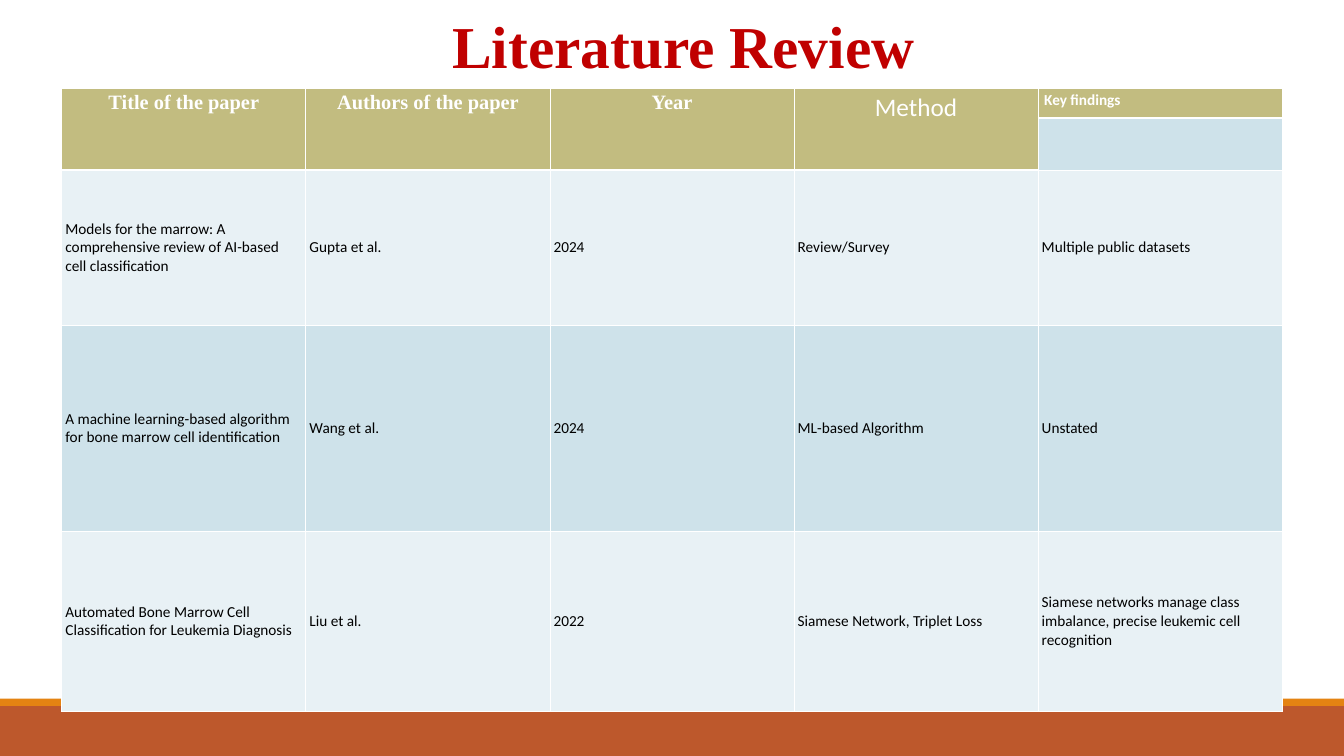
import pptx
import pptx.dml.color
import pptx.enum.shapes
import pptx.enum.text
import pptx.oxml
import pptx.oxml.ns
import pptx.util
from dataclasses import dataclass

Pt = pptx.util.Pt
ALIGN = pptx.enum.text.PP_ALIGN
ANCHOR = pptx.enum.text.MSO_ANCHOR

SLIDE_WIDTH, SLIDE_HEIGHT = 1583.28, 890.64
COLUMN_WIDTH = 287.56
ROW_HEIGHTS = [35.28, 61.2, 182.88, 242.64, 212.4]
HEADERS = ["Title of the paper", "Authors of the paper", "Year", "Method", "Key findings"]
PAPERS = [
    ["Models for the marrow: A comprehensive review of AI-based cell classification",
     "Gupta et al.", "2024", "Review/Survey", "Multiple public datasets"],
    ["A machine learning-based algorithm for bone marrow cell identification",
     "Wang et al.", "2024", "ML-based Algorithm", "Unstated"],
    ["Automated Bone Marrow Cell Classification for Leukemia Diagnosis",
     "Liu et al.", "2022", "Siamese Network, Triplet Loss",
     "Siamese networks manage class imbalance, precise leukemic cell recognition"],
]


@dataclass(frozen=True)
class Theme:
    white: str = "FFFFFF"
    black: str = "000000"
    title_red: str = "C00000"
    footer_rust: str = "BD582C"
    footer_orange: str = "E48312"
    header_olive: str = "C2BC80"
    band_light: str = "E8F1F5"
    band_dark: str = "CEE2EA"
    serif: str = "Times New Roman"
    sans: str = "Calibri"
    title_size: float = 70
    header_size: float = 24
    method_size: float = 29.7
    body_size: float = 18


def rgb(value):
    return pptx.dml.color.RGBColor.from_string(value)


def apply(target, values):
    for name, value in values.items():
        setattr(target, name, value)


def margins(horizontal, vertical):
    return {"margin_left": Pt(horizontal), "margin_right": Pt(horizontal),
            "margin_top": Pt(vertical), "margin_bottom": Pt(vertical)}


class SlideBuilder:
    def __init__(self, slide, theme):
        self.slide = slide
        self.theme = theme

    def bar(self, top, height, color):
        bar = self.slide.shapes.add_shape(
            pptx.enum.shapes.MSO_SHAPE.RECTANGLE, 0, Pt(top), Pt(SLIDE_WIDTH), Pt(height))
        bar.shadow.inherit = False
        bar.fill.solid()
        bar.fill.fore_color.rgb = rgb(color)
        bar.line.fill.background()

    def set_text(self, frame, text, font, color, paragraph):
        line = frame.paragraphs[0]
        apply(line, paragraph)
        run = line.add_run()
        run.text = text
        apply(run.font, font)
        run.font.color.rgb = rgb(color)

    def title(self, text, left, top, width, height):
        frame = self.slide.shapes.add_textbox(Pt(left), Pt(top), Pt(width), Pt(height)).text_frame
        apply(frame, {"word_wrap": True, "vertical_anchor": ANCHOR.BOTTOM, **margins(15.84, 7.92)})
        font = {"name": self.theme.serif, "size": Pt(self.theme.title_size), "bold": True}
        self.set_text(frame, text, font, self.theme.title_red, {"alignment": ALIGN.CENTER})

    def table(self, left, top, rows, columns):
        table = self.slide.shapes.add_table(
            rows, columns, Pt(left), Pt(top),
            Pt(COLUMN_WIDTH * columns), Pt(sum(ROW_HEIGHTS))).table
        apply(table, {"first_row": False, "horz_banding": False})
        for column in table.columns:
            column.width = Pt(COLUMN_WIDTH)
        for row, height in zip(table.rows, ROW_HEIGHTS):
            row.height = Pt(height)
        return table

    def style_cell(self, cell, fill, bottom_width=1):
        """Fill the cell and rule it in white; borders must precede the fill in the XML."""
        cell.fill.solid()
        cell.fill.fore_color.rgb = rgb(fill)
        properties = cell._tc.get_or_add_tcPr()
        for index, (side, width) in enumerate(
                [("L", 1), ("R", 1), ("T", 1), ("B", bottom_width)]):
            properties.insert(index, pptx.oxml.parse_xml(
                f'<a:ln{side} {pptx.oxml.ns.nsdecls("a")} w="{Pt(width)}"><a:solidFill>'
                f'<a:srgbClr val="{self.theme.white}"/></a:solidFill></a:ln{side}>'))

    def header(self, table):
        theme = self.theme
        serif = {"name": theme.serif, "size": Pt(theme.header_size), "bold": True}
        fonts = {
            "Method": {"name": theme.sans, "size": Pt(theme.method_size), "bold": False},
            "Key findings": {"name": theme.sans, "size": Pt(theme.body_size), "bold": True},
        }
        last = len(HEADERS) - 1
        for column, text in enumerate(HEADERS):
            cell, below = table.cell(0, column), table.cell(1, column)
            self.style_cell(cell, theme.header_olive, bottom_width=3)
            paragraph = {}
            if column < last:
                self.style_cell(below, theme.header_olive, bottom_width=3)
                cell.merge(below)
                apply(cell, margins(12.24, 0))
                paragraph = {"alignment": ALIGN.CENTER, "line_spacing": 1.15}
            else:
                self.style_cell(below, theme.band_dark)
            self.set_text(cell.text_frame, text, fonts.get(text, serif), theme.white, paragraph)

    def paper(self, table, row, values, fill):
        font = {"name": self.theme.sans, "size": Pt(self.theme.body_size), "bold": False}
        for column, text in enumerate(values):
            cell = table.cell(row, column)
            self.style_cell(cell, fill)
            apply(cell, {"vertical_anchor": ANCHOR.MIDDLE, **margins(4.32, 3.6)})
            self.set_text(cell.text_frame, text, font, self.theme.black, {})


def main():
    deck = pptx.Presentation()
    apply(deck, {"slide_width": Pt(SLIDE_WIDTH), "slide_height": Pt(SLIDE_HEIGHT)})
    theme = Theme()
    review = SlideBuilder(deck.slides.add_slide(deck.slide_layouts[6]), theme)

    review.bar(831.6, 59.04, theme.footer_rust)
    review.bar(822.96, 8.64, theme.footer_orange)

    literature = review.table(72.72, 103.68, len(ROW_HEIGHTS), len(HEADERS))
    review.header(literature)
    bands = [theme.band_light, theme.band_dark]
    for index, values in enumerate(PAPERS):
        review.paper(literature, index + 2, values, bands[index % 2])

    review.title("Literature Review ", 101.52, 0, 1424.88, 102.96)
    deck.save("out.pptx")


if __name__ == "__main__":
    main()
